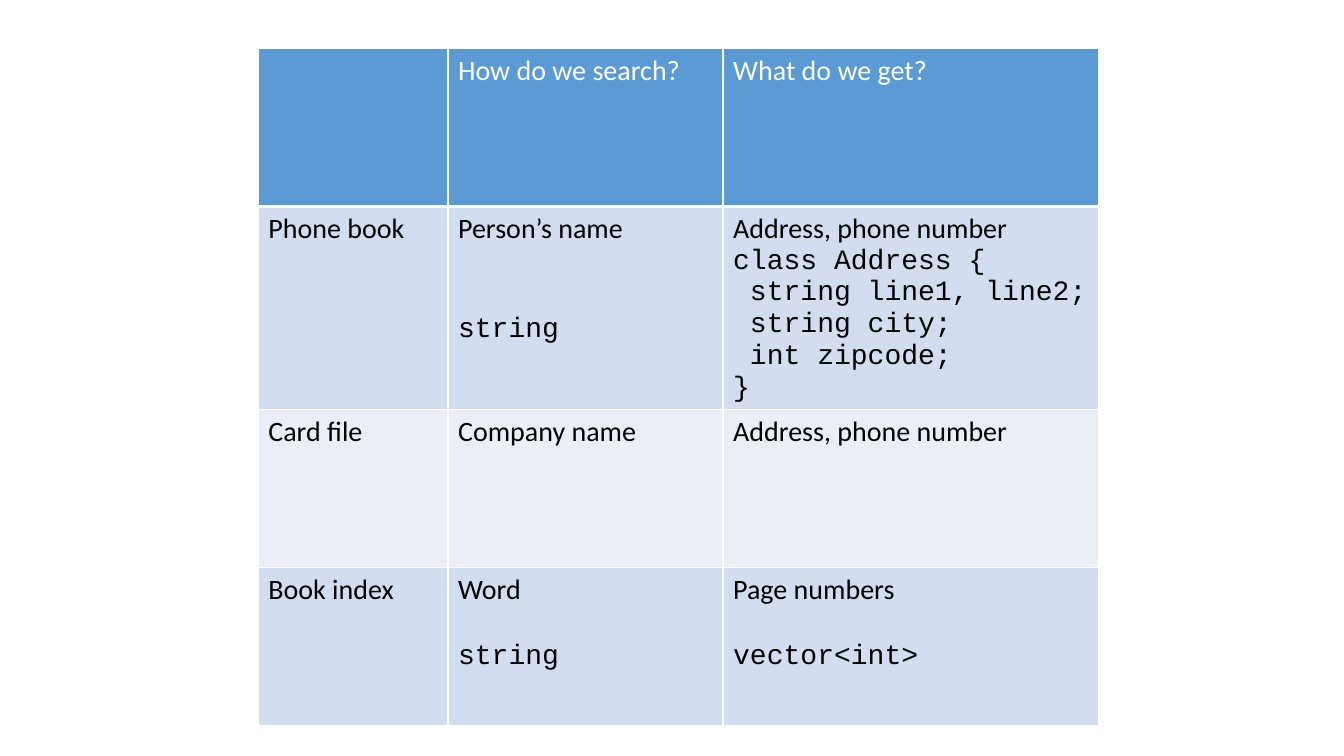
from lxml import etree
from pptx import Presentation
from pptx.dml.color import RGBColor
from pptx.oxml.ns import qn
from pptx.util import Pt

COLORS = {"header": "5B9BD5", "dark band": "D2DEEF", "light band": "EAEFF7",
          "white": "FFFFFF", "black": "000000"}
BODY_FONT, CODE_FONT = "Calibri", "Courier New"
BLANK_LAYOUT = 6
LINE_GAP = 24.4
COLUMN_WIDTHS = (135.5, 196.5, 268.5)
ROW_HEIGHTS = (113, 145, 113, 113)
ADDRESS_CLASS = ["class Address {", " string line1, line2;", " string city;",
                 " int zipcode;", "}"]

# Each cell: text, code lines, number of line gaps before the code
ROWS = [
    [("",), ("How do we search?",), ("What do we get?",)],
    [("Phone book",), ("Person’s name", ["string"], 2),
     ("Address, phone number", ADDRESS_CLASS)],
    [("Card file",), ("Company name",), ("Address, phone number",)],
    [("Book index",), ("Word", ["string"], 1),
     ("Page numbers", ["vector<int>"], 1)],
]


class SlideBuilder:
    """Holds the text and table style and the current slide."""

    def __init__(self, slide, size=20):
        self.slide = slide
        self.size = size

    def add_run(self, paragraph, text, font, color):
        run = paragraph.add_run()
        run.text = text
        run.font.name = font
        run.font.size = Pt(self.size)
        run.font.color.rgb = RGBColor.from_string(COLORS[color])

    def set_borders(self, cell, bottom_width):
        properties = cell._tc.get_or_add_tcPr()
        for side, width in (("L", 1), ("R", 1), ("T", 1), ("B", bottom_width)):
            line = etree.SubElement(properties, qn(f"a:ln{side}"), w=str(Pt(width)))
            fill = etree.SubElement(line, qn("a:solidFill"))
            etree.SubElement(fill, qn("a:srgbClr"), val=COLORS["white"])

    def fill_cell(self, cell, fill, color, text, code=(), gaps=0):
        cell.fill.solid()
        cell.fill.fore_color.rgb = RGBColor.from_string(COLORS[fill])
        paragraph = cell.text_frame.paragraphs[0]
        if text:
            self.add_run(paragraph, text, BODY_FONT, color)
        for number, code_line in enumerate(code):
            paragraph = cell.text_frame.add_paragraph()
            if number == 0:
                paragraph.space_before = Pt(gaps * LINE_GAP)
            self.add_run(paragraph, code_line, CODE_FONT, color)

    def add_table(self, left, top, widths, heights, rows):
        frame = self.slide.shapes.add_table(
            len(rows), len(widths), Pt(left), Pt(top),
            Pt(sum(widths)), Pt(sum(heights)))
        table = frame.table
        table.horz_banding = False
        for column, width in zip(table.columns, widths):
            column.width = Pt(width)
        for row, height in zip(table.rows, heights):
            row.height = Pt(height)
        for row_number, contents in enumerate(rows):
            is_header = row_number == 0
            band = "dark band" if row_number % 2 else "light band"
            for column_number, content in enumerate(contents):
                cell = table.cell(row_number, column_number)
                self.set_borders(cell, 3 if is_header else 1)
                self.fill_cell(cell, "header" if is_header else band,
                               "white" if is_header else "black", *content)
        table.first_row = False


presentation = Presentation()
presentation.slide_width = Pt(960)
presentation.slide_height = Pt(540)
slide = presentation.slides.add_slide(presentation.slide_layouts[BLANK_LAYOUT])
builder = SlideBuilder(slide)
builder.add_table(184.5, 34.5, COLUMN_WIDTHS, ROW_HEIGHTS, ROWS)
presentation.save("out.pptx")
